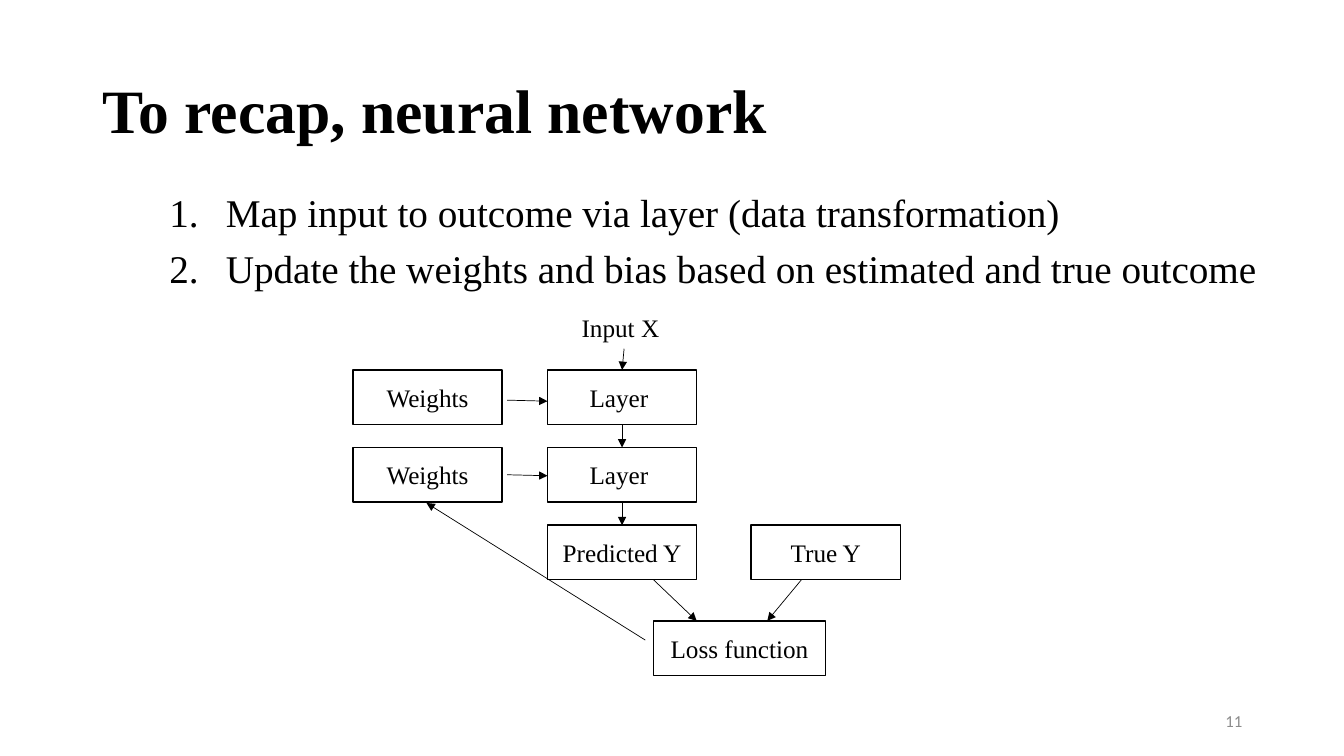
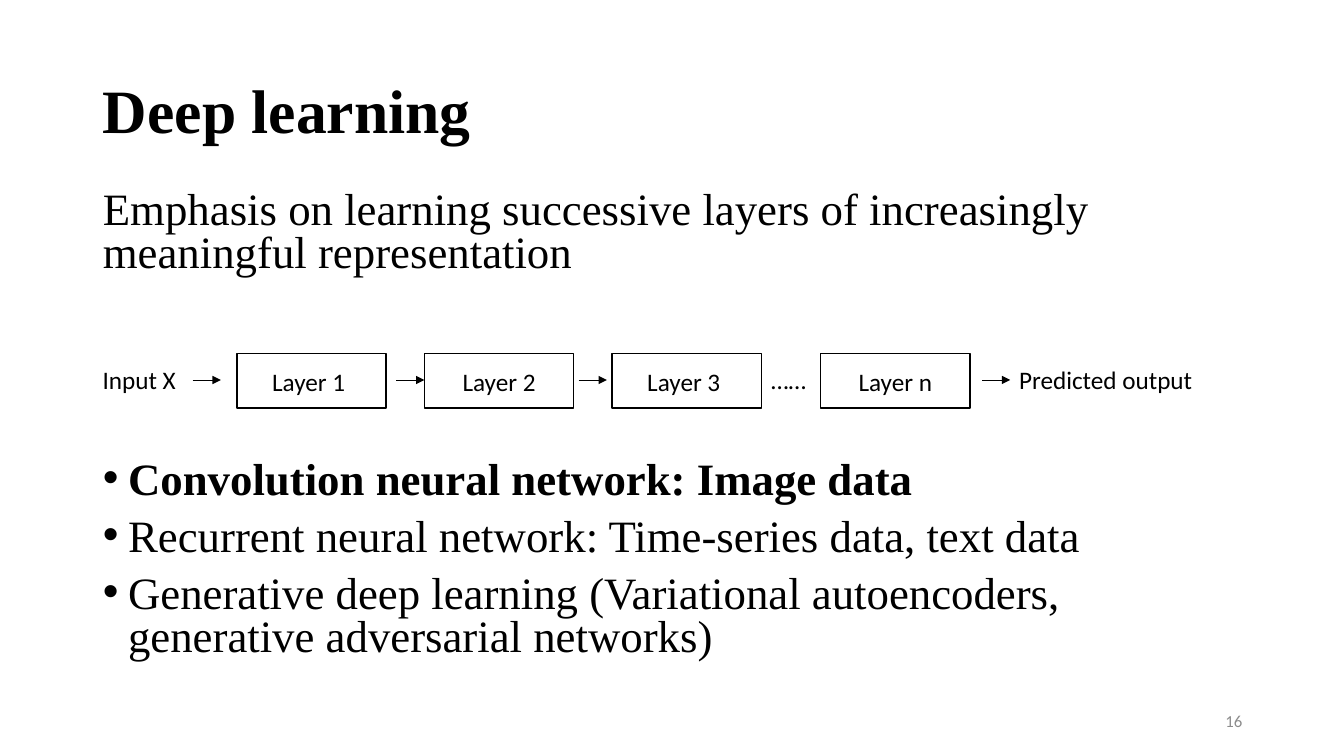
"""Build two slides about neural networks and deep learning."""
from lxml import etree
from pptx import Presentation
from pptx import util as u
from pptx.dml.color import RGBColor
from pptx.enum import shapes, text
from pptx.oxml.ns import qn

BLACK = "000000"
GREY = "8C8C8C"
SERIF = "Times New Roman"
SANS = "Calibri"
BOX_WIDTH, BOX_HEIGHT = 1.48, 0.54
LABEL_HEIGHT = 0.4


def color(value):
    """Turn a hex string into a colour."""
    return RGBColor.from_string(value)


def place(item, left, top, width, height):
    """Move and size a shape, in inches."""
    item.left, item.top = u.Inches(left), u.Inches(top)
    item.width, item.height = u.Inches(width), u.Inches(height)


def add_run(para, words, size, font, ink=BLACK, bold=False):
    """Add one formatted run to a paragraph."""
    span = para.add_run()
    span.text = words
    span.font.size = u.Pt(size)
    span.font.name = font
    span.font.bold = bold
    span.font.color.rgb = color(ink)


def set_bullet(para, tag, indent=0, **attributes):
    """Give a paragraph a bullet element and a hanging indent."""
    properties = para._p.get_or_add_pPr()
    properties.set("marL", str(u.Inches(indent)))
    properties.set("indent", str(-u.Inches(indent)))
    etree.SubElement(properties, qn(tag), attributes)


def add_page(deck, title, number):
    """Add a slide with the shared title style and slide number."""
    page = deck.slides.add_slide(deck.slide_layouts[1])
    place(page.shapes.title, 0.92, 0.4, 11.5, 1.45)
    frame = page.shapes.title.text_frame
    frame.auto_size = text.MSO_AUTO_SIZE.NONE
    frame.vertical_anchor = text.MSO_ANCHOR.MIDDLE
    para = frame.paragraphs[0]
    para.alignment = text.PP_ALIGN.LEFT
    para.line_spacing = 0.9
    add_run(para, title, 44, SERIF, bold=True)

    footer = page.shapes.add_textbox(0, 0, 0, 0)
    place(footer, 9.42, 6.95, 3, 0.4)
    footer.text_frame.word_wrap = True
    footer.text_frame.vertical_anchor = text.MSO_ANCHOR.MIDDLE
    para = footer.text_frame.paragraphs[0]
    para.alignment = text.PP_ALIGN.RIGHT
    add_run(para, number, 12, SANS, GREY)
    return page


def open_body(page, left, top, width, height):
    """Place the body placeholder and return its text frame."""
    body = page.placeholders[1]
    place(body, left, top, width, height)
    body.text_frame.auto_size = text.MSO_AUTO_SIZE.NONE
    return body.text_frame


def add_paragraph(frame, words, size, spacing, before, bullet, bold=False):
    """Fill the first paragraph, or append one, in a body frame."""
    first = frame.paragraphs[0]
    para = frame.add_paragraph() if first.runs else first
    set_bullet(para, **bullet)
    para.line_spacing = spacing
    para.space_before = u.Pt(before)
    add_run(para, words, size, SERIF, bold=bold)


def add_box(page, words, left, top, font, width=BOX_WIDTH):
    """Add an outlined box with centred text."""
    box = page.shapes.add_shape(shapes.MSO_SHAPE.RECTANGLE, 0, 0, 0, 0)
    place(box, left, top, width, BOX_HEIGHT)
    box.shadow.inherit = False
    box.fill.background()
    box.line.color.rgb = color(BLACK)
    box.line.width = u.Pt(1)
    box.text_frame.word_wrap = True
    box.text_frame.vertical_anchor = text.MSO_ANCHOR.MIDDLE
    para = box.text_frame.paragraphs[0]
    para.alignment = text.PP_ALIGN.CENTER
    add_run(para, words, 18, font)


def add_label(page, words, left, top, width, font):
    """Add a one-line label without an outline."""
    label = page.shapes.add_textbox(0, 0, 0, 0)
    place(label, left, top, width, LABEL_HEIGHT)
    label.text_frame.word_wrap = False
    label.text_frame.auto_size = text.MSO_AUTO_SIZE.SHAPE_TO_FIT_TEXT
    add_run(label.text_frame.paragraphs[0], words, 18, font)


def add_arrow(page, *ends):
    """Add a thin arrow from x, y to x, y."""
    arrow = page.shapes.add_connector(
        shapes.MSO_CONNECTOR.STRAIGHT, *map(u.Inches, ends))
    arrow.line.color.rgb = color(BLACK)
    arrow.line.width = u.Pt(0.5)
    etree.SubElement(arrow.line._get_or_add_ln(), qn("a:tailEnd"), type="triangle")
    etree.SubElement(arrow._element.spPr, qn("a:effectLst"))


def build_recap(deck):
    """Show the training loop of a neural network."""
    page = add_page(deck, "To recap, neural network", "11")
    frame = open_body(page, 1.58, 1.87, 11.5, 4.76)
    numbered = {"tag": "a:buAutoNum", "indent": 0.56, "type": "arabicPeriod"}
    add_paragraph(frame, "Map input to outcome via layer (data transformation)",
                  28, 0.9, 0, numbered)
    add_paragraph(frame, "Update the weights and bias based on estimated and true outcome",
                  28, 0.9, 10, numbered)

    weights_left, layer_left = 3.5, 5.43
    layer_center = layer_left + BOX_WIDTH / 2
    rows = [3.67 + 0.77 * row for row in range(3)]
    add_label(page, "Input X", 5.67, 3.05, 1.04, SERIF)
    add_arrow(page, 6.19, 3.46, layer_center, rows[0])
    for top, below in zip(rows, rows[1:]):
        add_box(page, "Weights", weights_left, top, SERIF)
        add_box(page, "Layer ", layer_left, top, SERIF)
        add_arrow(page, layer_center, top + BOX_HEIGHT, layer_center, below)
    for start in (3.97, 4.71):
        add_arrow(page, 5.03, start, layer_left, start + 0.01)

    loss_top = 6.16
    outcome_bottom = rows[2] + BOX_HEIGHT
    add_box(page, "Predicted Y", layer_left, rows[2], SERIF)
    add_box(page, "True Y", 7.45, rows[2], SERIF)
    add_box(page, "Loss function", 6.48, loss_top, SERIF, 1.71)
    add_arrow(page, 6.48, outcome_bottom, 6.91, loss_top)
    add_arrow(page, 7.95, outcome_bottom, 7.61, loss_top)
    add_arrow(page, 6.4, 6.35, 4.23, 4.99)


def build_deep_learning(deck):
    """Show the chain of layers and the kinds of network."""
    page = add_page(deck, "Deep learning", "16")
    frame = open_body(page, 0.92, 1.85, 11.5, 4.91)
    dot = {"tag": "a:buChar", "indent": 0.25, "char": "•"}
    add_paragraph(
        frame, "Emphasis on learning successive layers of increasingly meaningful representation",
        32, 0.8, 0, {"tag": "a:buNone"})
    add_paragraph(frame, "Convolution neural network: Image data",
                  32, 0.8, 131, dot, bold=True)
    for words in (
        "Recurrent neural network: Time-series data, text data",
        "Generative deep learning (Variational autoencoders, generative adversarial networks)",
    ):
        add_paragraph(frame, words, 32, 0.8, 10, dot)

    for words, left in (("Layer 1 ", 2.35), ("Layer 2", 4.21),
                        ("Layer 3 ", 6.07), ("Layer n", 8.14)):
        add_box(page, words, left, 3.51, SANS)
    for words, left, width in (("Input X", 0.92, 1), ("……", 7.55, 0.55),
                               ("Predicted output", 10.01, 1.94)):
        add_label(page, words, left, 3.57, width, SANS)
    for start in (1.91, 3.93, 5.74, 9.74):
        add_arrow(page, start, 3.77, start + 0.28, 3.77)


def main():
    """Build and save the deck."""
    deck = Presentation()
    deck.slide_width, deck.slide_height = u.Inches(13.33), u.Inches(7.5)
    build_recap(deck)
    build_deep_learning(deck)
    deck.save("out.pptx")


if __name__ == "__main__":
    main()
